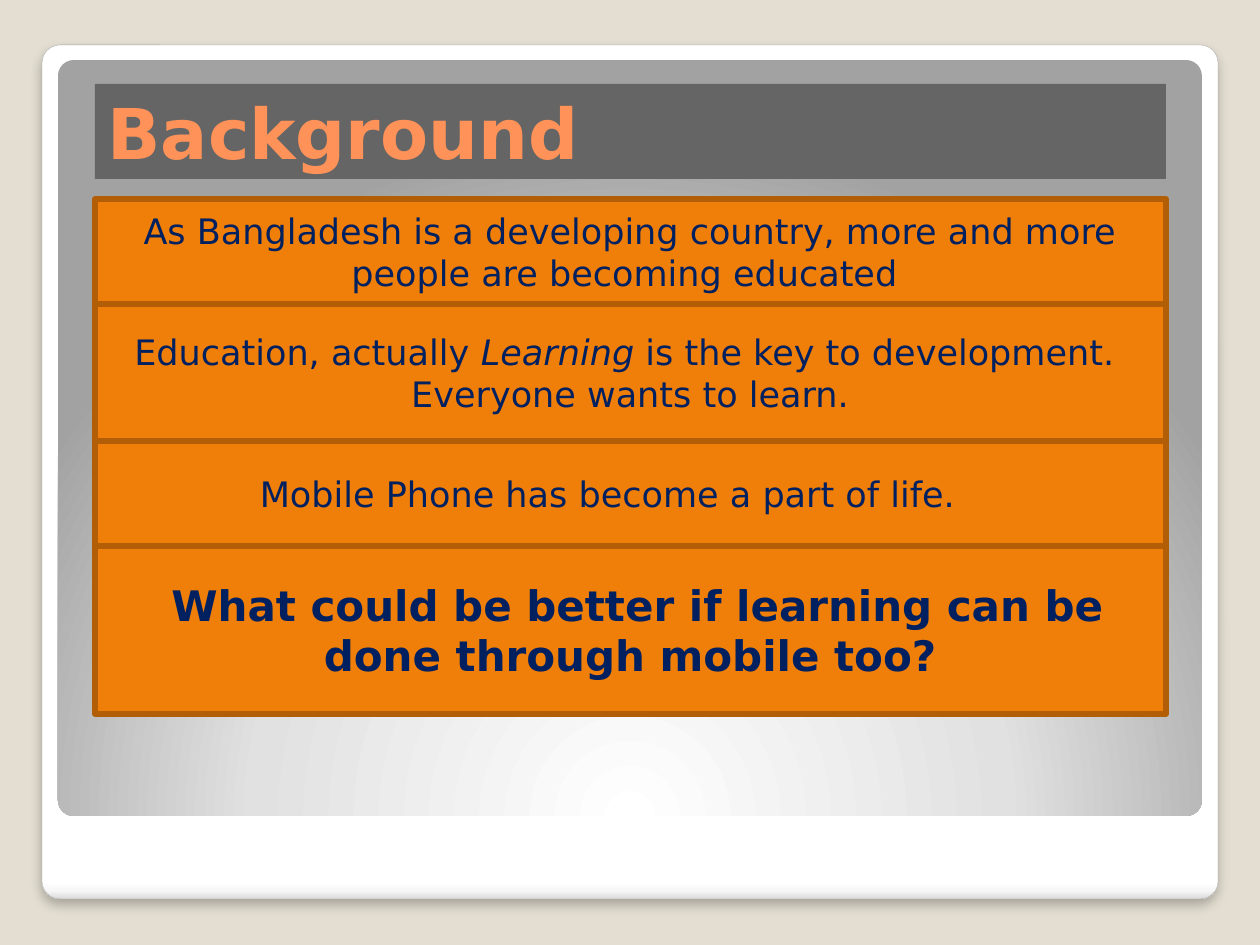
from pptx import Presentation
from pptx.dml.color import RGBColor
from pptx.enum.shapes import MSO_SHAPE as SHAPE
from pptx.enum.text import MSO_ANCHOR as ANCHOR, MSO_AUTO_SIZE as AUTO, PP_ALIGN as ALIGN
from pptx.oxml import parse_xml
from pptx.oxml.ns import nsdecls, qn
from pptx.util import Emu, Pt

SCALE = 914400 / 126
FONT = "DejaVu Sans"
NAVY = "002060"


def px(n):
    return Emu(round(n * SCALE))


def rgb(value):
    return RGBColor.from_string(value)


def set_font(font, size, color, bold=False):
    font.name, font.size, font.bold = FONT, Pt(size), bold
    font.color.rgb = rgb(color)


def add_box(slide, kind, box):
    sp = slide.shapes.add_shape(kind, *map(px, box))
    sp.shadow.inherit = False
    return sp


def set_gradient(sp, stops, direction):
    stop_xml = "".join(
        f'<a:gs pos="{pos * 1000}"><a:srgbClr val="{color}"/></a:gs>' for pos, color in stops)
    sp.fill.background()
    props = sp.element.spPr
    props.replace(props.find(qn("a:noFill")), parse_xml(
        f'<a:gradFill {nsdecls("a")} rotWithShape="1"><a:gsLst>{stop_xml}</a:gsLst>'
        f'{direction}</a:gradFill>'))


def add_frame(slide, box):
    left, top, width, height = box
    card = add_box(slide, SHAPE.ROUNDED_RECTANGLE, box)
    set_gradient(card, [(0, "FFFFFF"), (98, "FFFFFF"), (99, "F7F7F7"), (100, "DADADA")],
                 '<a:lin ang="5400000" scaled="0"/>')
    card.line.color.rgb = rgb("A4A4A4")
    card.line.width = Pt(0.16)
    card.element.spPr.find(qn("a:effectLst")).append(parse_xml(
        f'<a:outerShdw {nsdecls("a")} blurRad="{Pt(6)}" dist="{Pt(4)}" dir="5400000" '
        'algn="t" rotWithShape="0"><a:srgbClr val="000000"><a:alpha val="25000"/>'
        '</a:srgbClr></a:outerShdw>'))

    panel = add_box(slide, SHAPE.ROUNDED_RECTANGLE,
                    (left + 16, top + 15, width - 32, height - 98))
    set_gradient(panel, [(0, "FFFFFF"), (55, "E1E1E1"), (100, "A2A2A2")],
                 '<a:path path="circle"><a:fillToRect l="50000" t="175000" '
                 'r="50000" b="-75000"/></a:path>')
    panel.line.fill.background()
    for sp in (card, panel):
        sp.adjustments[0] = 0.021


def place_title(slide, box, text):
    title = slide.shapes.title
    title.element.getparent().append(title.element)
    title.left, title.top, title.width, title.height = map(px, box)
    title.fill.solid()
    title.fill.fore_color.rgb = rgb("656565")
    tf = title.text_frame
    tf.auto_size, tf.vertical_anchor = AUTO.NONE, ANCHOR.MIDDLE
    tf.text = text
    p = tf.paragraphs[0]
    p.alignment = ALIGN.LEFT
    set_font(p.font, 40, "FF9258", True)


def add_row(slide, box, paragraphs, size, bold, right_inset):
    sp = add_box(slide, SHAPE.RECTANGLE, box)
    sp.fill.solid()
    sp.fill.fore_color.rgb = rgb("F07F09")
    sp.line.color.rgb = rgb("B25E07")
    sp.line.width = Pt(3.35)
    tf = sp.text_frame
    tf.word_wrap, tf.vertical_anchor = True, ANCHOR.MIDDLE
    tf.margin_right = px(right_inset)
    for i, runs in enumerate(paragraphs):
        p = tf.add_paragraph() if i else tf.paragraphs[0]
        p.alignment = ALIGN.CENTER
        set_font(p.font, size, NAVY, bold)
        for text, italic in runs:
            r = p.add_run()
            r.text = text
            if italic:
                r.font.italic = True


def add_rows(slide, box, rows):
    left, top, width, height = box
    unit = height / sum(row[0] for row in rows)
    for share, *content in rows:
        add_row(slide, (left, top, width, share * unit), *content)
        top += share * unit


ROWS = [
    (10, [[("As Bangladesh is a developing country, more and more people are "
            "becoming educated ", False)]], 20, False, 13),
    (13, [[("Education, actually ", False), ("Learning", True),
           (" is the key to development. ", False)],
          [("Everyone wants to learn.", False)]], 20, False, 13),
    (10, [[("Mobile Phone has become a part of life.", False)]], 20, False, 58),
    (16, [[(" What could be better if learning can be done through mobile too?", False)]],
     24, True, 13),
]

prs = Presentation()
prs.slide_width, prs.slide_height = px(1260), px(945)
slide = prs.slides.add_slide(prs.slide_layouts[5])
slide.background.fill.solid()
slide.background.fill.fore_color.rgb = rgb("E3DED1")
add_frame(slide, (42, 45, 1176, 854))
place_title(slide, (95, 84, 1071, 95), "Background")
add_rows(slide, (95, 199, 1071, 515), ROWS)
prs.save("out.pptx")
